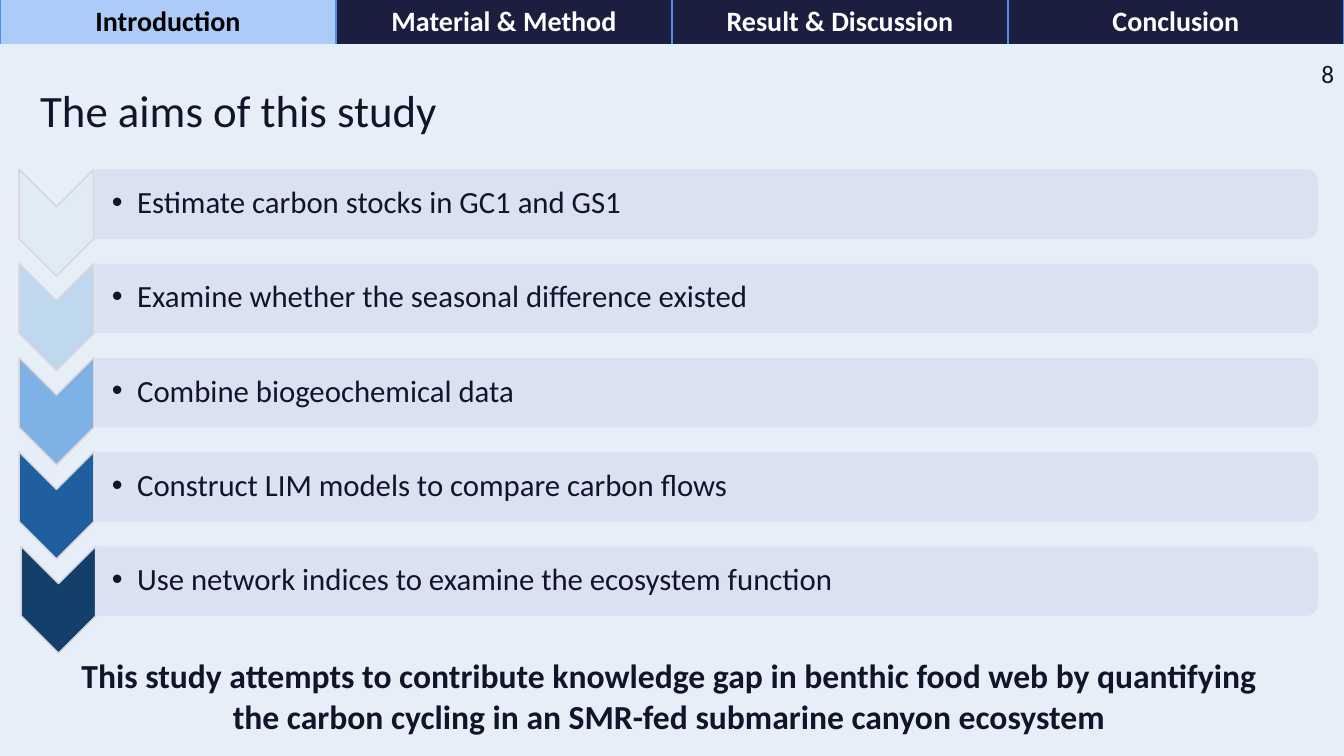
from dataclasses import dataclass

from lxml import etree
from pptx import Presentation
from pptx.dml.color import RGBColor
from pptx.enum.shapes import MSO_SHAPE
from pptx.enum.text import MSO_ANCHOR, MSO_AUTO_SIZE, PP_ALIGN
from pptx.oxml.ns import qn
from pptx.util import Inches, Pt

CHEVRON = MSO_SHAPE.CHEVRON
BAR = MSO_SHAPE.ROUND_2_SAME_RECTANGLE
TOP, MIDDLE = MSO_ANCHOR.TOP, MSO_ANCHOR.MIDDLE
LEFT, CENTER, RIGHT = PP_ALIGN.LEFT, PP_ALIGN.CENTER, PP_ALIGN.RIGHT
FIT_SHAPE = MSO_AUTO_SIZE.SHAPE_TO_FIT_TEXT


@dataclass(frozen=True)
class Theme:
    font: str = "Calibri"
    background: str = "E6EFF8"
    ink: str = "121429"
    nav: str = "1B1E3E"
    nav_text: str = "FFFFFF"
    nav_active: str = "ACCBF9"
    nav_active_text: str = "000000"
    nav_line: str = "4A8EF2"
    bar: str = "DBE1F0"
    chevron_line: str = "D8D3D9"
    title_size: int = 32
    summary_size: int = 24
    aim_size: int = 22
    nav_size: int = 20
    number_size: int = 18


@dataclass(frozen=True)
class Box:
    left: float
    top: float
    width: float
    height: float

    def emu(self) -> list[int]:
        return [Inches(v) for v in (self.left, self.top, self.width, self.height)]


@dataclass(frozen=True)
class Aim:
    text: str
    color: str
    chevron_left: float = 0.03


THEME = Theme()
SLIDE_W, SLIDE_H = 13.33, 7.5
SECTIONS = ["Introduction", "Material & Method", "Result & Discussion", "Conclusion"]
ACTIVE_SECTION = "Introduction"
AIMS = [
    Aim("Estimate carbon stocks in GC1 and GS1", "E0EBF6"),
    Aim("Examine whether the seasonal difference existed", "C0D8ED"),
    Aim("Combine biogeochemical data", "7EB2E6"),
    Aim("Construct LIM models to compare carbon flows", "1F5FA0"),
    Aim("Use network indices to examine the ecosystem function", "143F6A", 0.05),
]
AIM_STEP = 0.935


def rgb(value: str) -> RGBColor:
    return RGBColor.from_string(value)


def style_text(p, size: int, color: str, bold: bool = False, align=LEFT) -> None:
    p.alignment = align
    for r in p.runs:
        r.font.name = THEME.font
        r.font.size = Pt(size)
        r.font.bold = bold
        r.font.color.rgb = rgb(color)


def add_text(s, box: Box, text: str, size: int, bold: bool = False,
             align=LEFT, anchor=TOP, wrap: bool = True):
    tf = s.shapes.add_textbox(*box.emu()).text_frame
    tf.word_wrap = wrap
    tf.vertical_anchor = anchor
    tf.text = text
    style_text(tf.paragraphs[0], size, THEME.ink, bold, align)
    return tf


def add_turned_shape(s, kind, box: Box, fill: str, line: str | None = None) -> None:
    """Add a shape turned a quarter clockwise; box is its frame before the turn."""
    sp = s.shapes.add_shape(kind, *box.emu())
    sp.rotation = 90
    sp.shadow.inherit = False
    sp.fill.solid()
    sp.fill.fore_color.rgb = rgb(fill)
    if line:
        sp.line.color.rgb = rgb(line)
        sp.line.width = Pt(1)
    else:
        sp.line.fill.background()


def set_borders(cell) -> None:
    """Draw the side borders of a cell and hide its top and bottom ones."""
    tc_pr = cell._tc.get_or_add_tcPr()
    for side in "LRTB":
        ln = etree.SubElement(tc_pr, qn(f"a:ln{side}"), w=str(Pt(1)))
        if side in "LR":
            fill = etree.SubElement(ln, qn("a:solidFill"))
            etree.SubElement(fill, qn("a:srgbClr"), val=THEME.nav_line)
        else:
            etree.SubElement(ln, qn("a:noFill"))


def add_navigation(s) -> None:
    box = Box(0, 0, SLIDE_W, 0.43)
    table = s.shapes.add_table(1, len(SECTIONS), *box.emu()).table
    table.first_row = table.horz_banding = False
    for cell, section in zip(table.rows[0].cells, SECTIONS):
        active = section == ACTIVE_SECTION
        cell.text = section
        color = THEME.nav_active_text if active else THEME.nav_text
        style_text(cell.text_frame.paragraphs[0], THEME.nav_size, color, True, CENTER)
        set_borders(cell)
        cell.fill.solid()
        cell.fill.fore_color.rgb = rgb(THEME.nav_active if active else THEME.nav)


def add_bullet(p, indent: float) -> None:
    p_pr = p._p.get_or_add_pPr()
    p_pr.set("marL", str(Inches(indent)))
    p_pr.set("indent", str(-Inches(indent)))
    etree.SubElement(p_pr, qn("a:buFont"), typeface="Arial")
    etree.SubElement(p_pr, qn("a:buChar"), char="•")


def add_aim(s, aim: Aim, offset: float) -> None:
    chevron = Box(aim.chevron_left, 1.84 + offset, 1.06, 0.74)
    add_turned_shape(s, CHEVRON, chevron, aim.color, THEME.chevron_line)
    add_turned_shape(s, BAR, Box(6.66, -4.04 + offset, 0.69, 12.13), THEME.bar)
    tf = add_text(s, Box(0.94, 1.71 + offset, 12.09, 0.62), aim.text,
                  THEME.aim_size, anchor=MIDDLE)
    tf.margin_left = Inches(0.17)
    tf.margin_top = tf.margin_right = tf.margin_bottom = Inches(0.02)
    p = tf.paragraphs[0]
    add_bullet(p, 0.25)
    p.line_spacing = 0.9


def main() -> None:
    prs = Presentation()
    prs.slide_width, prs.slide_height = Inches(SLIDE_W), Inches(SLIDE_H)
    s = prs.slides.add_slide(prs.slide_layouts[6])
    s.background.fill.solid()
    s.background.fill.fore_color.rgb = rgb(THEME.background)

    add_navigation(s)
    add_text(s, Box(10.33, 0.53, 3, 0.4), "8", THEME.number_size,
             align=RIGHT, anchor=MIDDLE)
    title = add_text(s, Box(0.3, 0.77, 4.28, 0.64), "The aims of this study",
                     THEME.title_size, wrap=False)
    summary = add_text(
        s, Box(0.48, 6.45, 12.31, 0.91),
        "This study attempts to contribute knowledge gap in benthic food web by "
        "quantifying the carbon cycling in an SMR-fed submarine canyon ecosystem",
        THEME.summary_size, bold=True, align=CENTER)
    title.auto_size = summary.auto_size = FIT_SHAPE

    for i, aim in enumerate(AIMS):
        add_aim(s, aim, i * AIM_STEP)

    prs.save("out.pptx")


if __name__ == "__main__":
    main()
